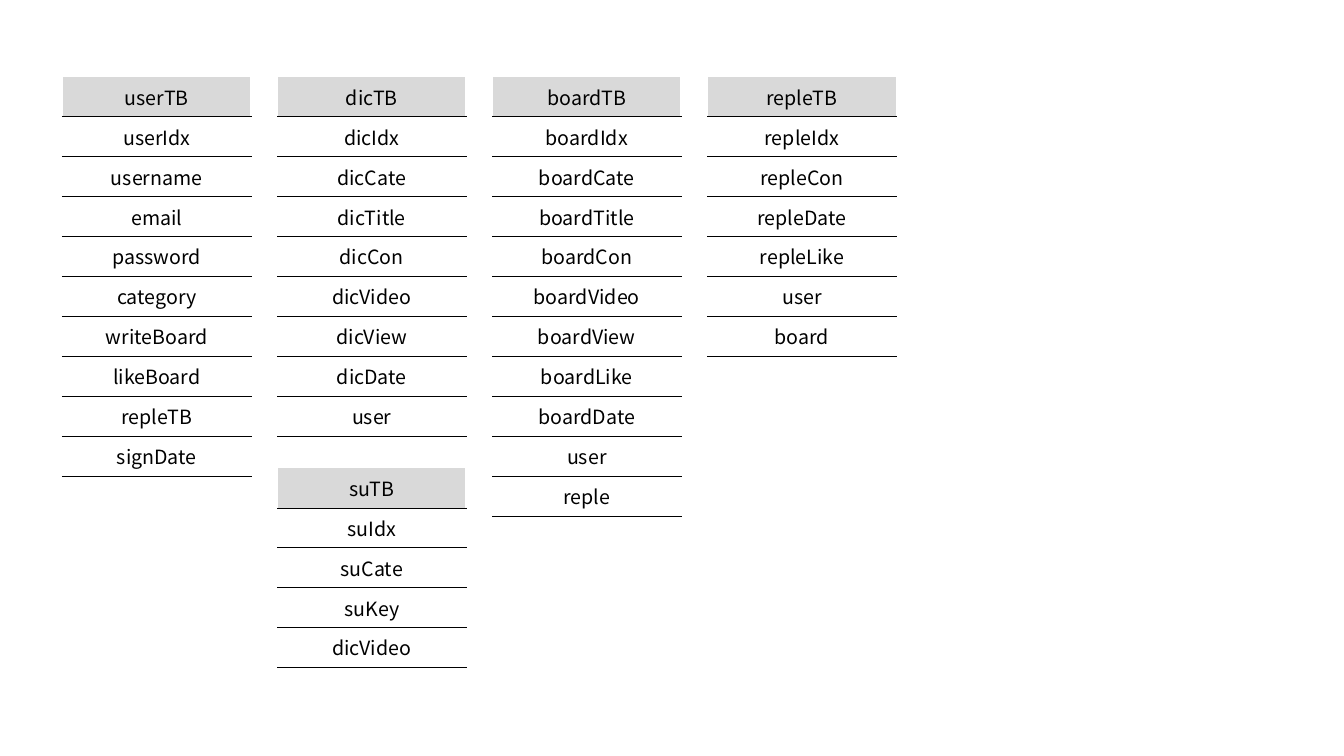
from lxml import etree
from pptx import Presentation
from pptx.dml.color import RGBColor
from pptx.enum import text
from pptx.oxml import ns
from pptx.util import Pt

BLACK = RGBColor(0x00, 0x00, 0x00)
WHITE = RGBColor(0xFF, 0xFF, 0xFF)
GRAY = RGBColor(0xD9, 0xD9, 0xD9)

LEFT = 44.7
TOP = 54.8
COLUMN_PITCH = 153.6
LOWER_TOP = 334.1

SCHEMAS = [
    (0, TOP, ["userTB", "userIdx", "username", "email", "password", "category",
              "writeBoard", "likeBoard", "repleTB", "signDate"]),
    (1, TOP, ["dicTB", "dicIdx", "dicCate", "dicTitle", "dicCon", "dicVideo",
              "dicView", "dicDate", "user"]),
    (2, TOP, ["boardTB", "boardIdx", "boardCate", "boardTitle", "boardCon", "boardVideo",
              "boardView", "boardLike", "boardDate", "user", "reple"]),
    (3, TOP, ["repleTB", "repleIdx", "repleCon", "repleDate", "repleLike", "user", "board"]),
    (1, LOWER_TOP, ["suTB", "suIdx", "suCate", "suKey", "dicVideo"]),
]


class SchemaSlide:
    font_name = "Noto Sans CJK KR"
    font_size = 14
    table_width = 134.6
    row_height = 28.54
    rule_width = 0.25
    edge_width = 1

    def __init__(self, presentation):
        self.slide = presentation.slides.add_slide(presentation.slide_layouts[6])

    def table(self, left, top, names):
        frame = self.slide.shapes.add_table(
            len(names), 1, Pt(left), Pt(top),
            Pt(self.table_width), Pt(self.row_height * len(names)))
        table = frame.table
        table.first_row = False
        table.horz_banding = False
        for index, name in enumerate(names):
            table.rows[index].height = Pt(self.row_height)
            self.cell(table.cell(index, 0), name, index == 0)

    def cell(self, cell, name, is_header):
        edge = (WHITE, self.edge_width)
        rule = (BLACK, self.rule_width)
        self.border(cell, "L", *edge)
        self.border(cell, "R", *edge)
        self.border(cell, "T", *(edge if is_header else rule))
        self.border(cell, "B", *rule)
        if is_header:
            cell.fill.solid()
            cell.fill.fore_color.rgb = GRAY
        else:
            cell.fill.background()
        cell.vertical_anchor = text.MSO_ANCHOR.MIDDLE
        cell.text_frame.text = name
        paragraph = cell.text_frame.paragraphs[0]
        paragraph.alignment = text.PP_ALIGN.CENTER
        font = paragraph.runs[0].font
        font.name = self.font_name
        font.size = Pt(self.font_size)
        font.color.rgb = BLACK

    def border(self, cell, side, color, width):
        properties = cell._tc.get_or_add_tcPr()
        line = etree.SubElement(properties, ns.qn(f"a:ln{side}"), w=str(Pt(width)))
        fill = etree.SubElement(line, ns.qn("a:solidFill"))
        etree.SubElement(fill, ns.qn("a:srgbClr"), val=str(color))


def main():
    presentation = Presentation()
    presentation.slide_width = Pt(960)
    presentation.slide_height = Pt(540)
    schema_slide = SchemaSlide(presentation)
    for column, top, names in SCHEMAS:
        schema_slide.table(LEFT + column * COLUMN_PITCH, top, names)
    presentation.save("out.pptx")


if __name__ == "__main__":
    main()
